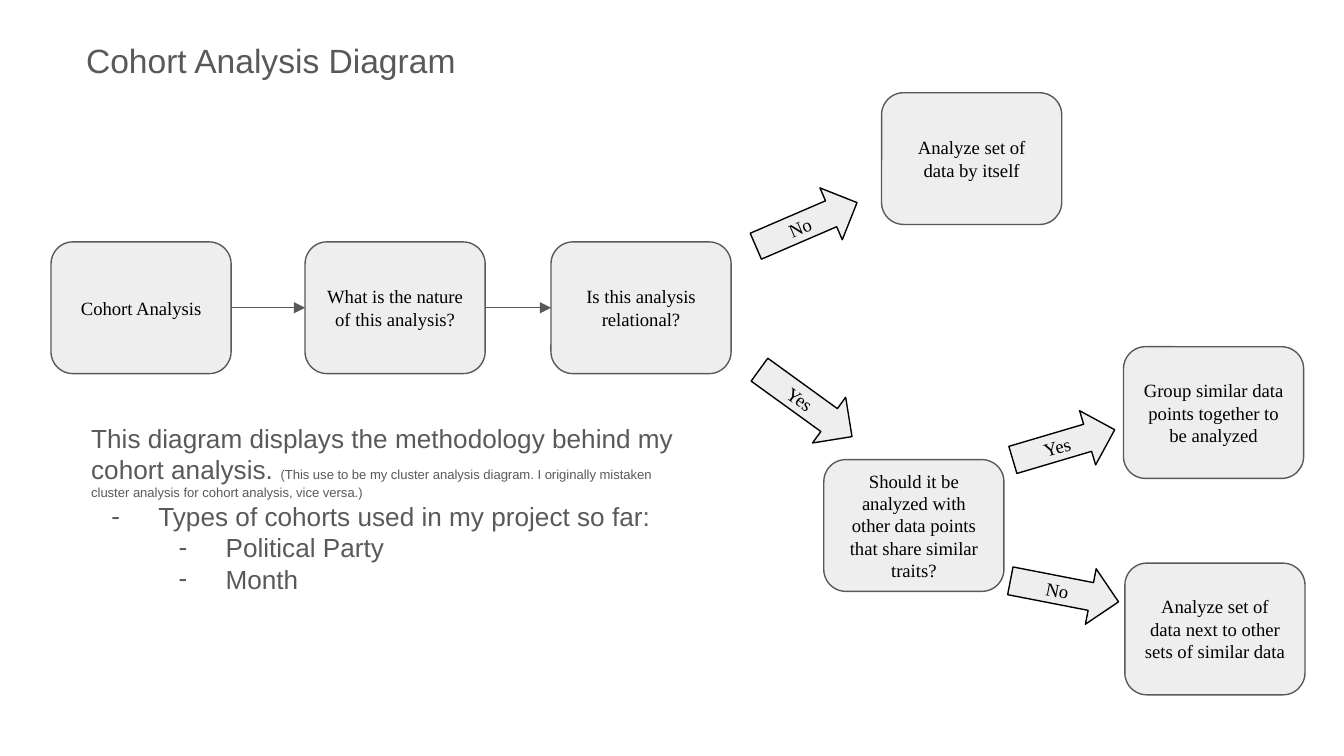
import pptx
import pptx.util
import pptx.dml.color
import pptx.enum.shapes
import pptx.enum.text
import pptx.oxml.ns
from lxml import etree

SHAPE = pptx.enum.shapes.MSO_SHAPE
ALIGN = pptx.enum.text.PP_ALIGN
ANCHOR = pptx.enum.text.MSO_ANCHOR
TITLE_ONLY = 5

# Grid: 100 columns across a 16:9 slide, square cells
SLIDE_W = 10
SLIDE_H = SLIDE_W * 9 / 16
CELL = SLIDE_W / 100
STEP_W, STEP_H = 13.4, 9.8
ARROW_H = 4.2

GRAY, PALE, BLACK = "595959", "EEEEEE", "000000"
STEP_FONT = {"name": "Times New Roman", "size": pptx.util.Pt(10)}
BODY_FONT = {"name": "Arial", "size": pptx.util.Pt(14)}
SMALL_FONT = {"name": "Arial", "size": pptx.util.Pt(7)}
TITLE_FONT = {"name": "Arial", "size": pptx.util.Pt(18)}


def grid(cells):
    return pptx.util.Inches(cells * CELL)


def color(hex_string):
    return pptx.dml.color.RGBColor.from_string(hex_string)


def apply(target, formats):
    for name, value in formats.items():
        setattr(target, name, value)


def set_frame(frame, anchor):
    inset = pptx.util.Inches(0.1)
    apply(frame, {"word_wrap": True, "vertical_anchor": anchor,
                  "margin_left": inset, "margin_right": inset,
                  "margin_top": inset, "margin_bottom": inset})


def add_run(paragraph, text, font, hex_string):
    run = paragraph.add_run()
    run.text = text
    apply(run.font, font)
    run.font.color.rgb = color(hex_string)


def add_label_shape(slide, kind, box, text, line, rotation=0):
    """A pale outlined shape with a centred label; box is in grid cells."""
    shape = slide.shapes.add_shape(kind, *map(grid, box))
    shape.shadow.inherit = False
    shape.rotation = rotation
    shape.fill.solid()
    shape.fill.fore_color.rgb = color(PALE)
    shape.line.color.rgb = color(line)
    shape.line.width = pptx.util.Pt(0.75)
    set_frame(shape.text_frame, ANCHOR.MIDDLE)
    paragraph = shape.text_frame.paragraphs[0]
    paragraph.alignment = ALIGN.CENTER
    add_run(paragraph, text, STEP_FONT, BLACK)
    return shape


def add_step(slide, left, top, text):
    return add_label_shape(slide, SHAPE.ROUNDED_RECTANGLE,
                           (left, top, STEP_W, STEP_H), text, GRAY)


def link(slide, start, end):
    """Join the right side of one step to the left side of the next."""
    middle = start.top + start.height // 2
    connector = slide.shapes.add_connector(
        pptx.enum.shapes.MSO_CONNECTOR.STRAIGHT,
        start.left + start.width, middle, end.left, middle)
    connector.line.color.rgb = color(GRAY)
    connector.line.width = pptx.util.Pt(0.75)
    line = connector.line._get_or_add_ln()
    etree.SubElement(line, pptx.oxml.ns.qn("a:tailEnd"), type="triangle")
    etree.SubElement(connector._element.spPr, pptx.oxml.ns.qn("a:effectLst"))


def place_title(slide, box, text):
    title = slide.shapes.title
    apply(title, dict(zip(("left", "top", "width", "height"), map(grid, box))))
    set_frame(title.text_frame, ANCHOR.TOP)
    paragraph = title.text_frame.paragraphs[0]
    paragraph.alignment = ALIGN.LEFT
    add_run(paragraph, text, TITLE_FONT, GRAY)


def place_sequence(slide, origin, steps):
    """A row of linked steps, each given as (column offset, text)."""
    left, top = origin
    shapes = [add_step(slide, left + offset, top, text) for offset, text in steps]
    for start, end in zip(shapes, shapes[1:]):
        link(slide, start, end)


def place_branches(slide, origin, branches):
    """Answer arrows and their outcomes, as offsets from the origin."""
    left, top = origin
    for answer, (x, y, width), rotation, (step_x, step_y), outcome in branches:
        add_label_shape(slide, SHAPE.RIGHT_ARROW,
                        (left + x, top + y, width, ARROW_H),
                        answer, BLACK, rotation)
        add_step(slide, left + step_x, top + step_y, outcome)


def place_notes(slide, box, intro, remark, points):
    """Intro with a small remark, then dashed points as (level, text)."""
    frame = slide.shapes.add_textbox(*map(grid, box)).text_frame
    set_frame(frame, ANCHOR.TOP)
    add_run(frame.paragraphs[0], intro, BODY_FONT, GRAY)
    add_run(frame.paragraphs[0], remark, SMALL_FONT, GRAY)
    for level, text in points:
        paragraph = frame.add_paragraph()
        paragraph.level = level
        add_run(paragraph, text, BODY_FONT, GRAY)
        properties = paragraph._p.get_or_add_pPr()
        properties.set("marL", str(grid(5 * (level + 1))))
        properties.set("indent", str(grid(-3.5)))
        bullet_color = etree.SubElement(properties, pptx.oxml.ns.qn("a:buClr"))
        etree.SubElement(bullet_color, pptx.oxml.ns.qn("a:srgbClr"), val=GRAY)
        etree.SubElement(properties, pptx.oxml.ns.qn("a:buFont"), typeface="Arial")
        etree.SubElement(properties, pptx.oxml.ns.qn("a:buChar"), char="-")


def main():
    deck = pptx.Presentation()
    deck.slide_width = pptx.util.Inches(SLIDE_W)
    deck.slide_height = pptx.util.Inches(SLIDE_H)
    slide = deck.slides.add_slide(deck.slide_layouts[TITLE_ONLY])

    place_title(slide, (5.4, 2, 41.1, 9.8), "Cohort Analysis Diagram")

    # Opening questions
    place_sequence(slide, (3.8, 18), [
        (0, "Cohort Analysis"),
        (18.9, "What is the nature of this analysis?"),
        (37.2, "Is this analysis relational?"),
    ])

    # Relational or not
    place_branches(slide, (55, 7), [
        ("No", (0.9, 7.6, 8.2), -23.3, (10.6, -0.1),
         "Analyze set of data by itself"),
        ("Yes", (0.7, 20.9, 8.5), 35.9, (6.3, 27.2),
         "Should it be analyzed with other data points that share similar traits?"),
    ])

    # Similar traits or not
    place_branches(slide, (75, 26), [
        ("Yes", (0.2, 5, 7.9), -16.5, (8.6, -0.2),
         "Group similar data points together to be analyzed"),
        ("No", (0.1, 15.9, 8.2), 11, (8.7, 15.9),
         "Analyze set of data next to other sets of similar data"),
    ])

    place_notes(
        slide, (5.8, 30.4, 46.1, 20),
        "This diagram displays the methodology behind my cohort analysis. ",
        "(This use to be my cluster analysis diagram. I originally mistaken "
        "cluster analysis for cohort analysis, vice versa.)",
        [(0, "Types of cohorts used in my project so far:"),
         (1, "Political Party"),
         (1, "Month")])

    deck.save("out.pptx")


if __name__ == "__main__":
    main()
